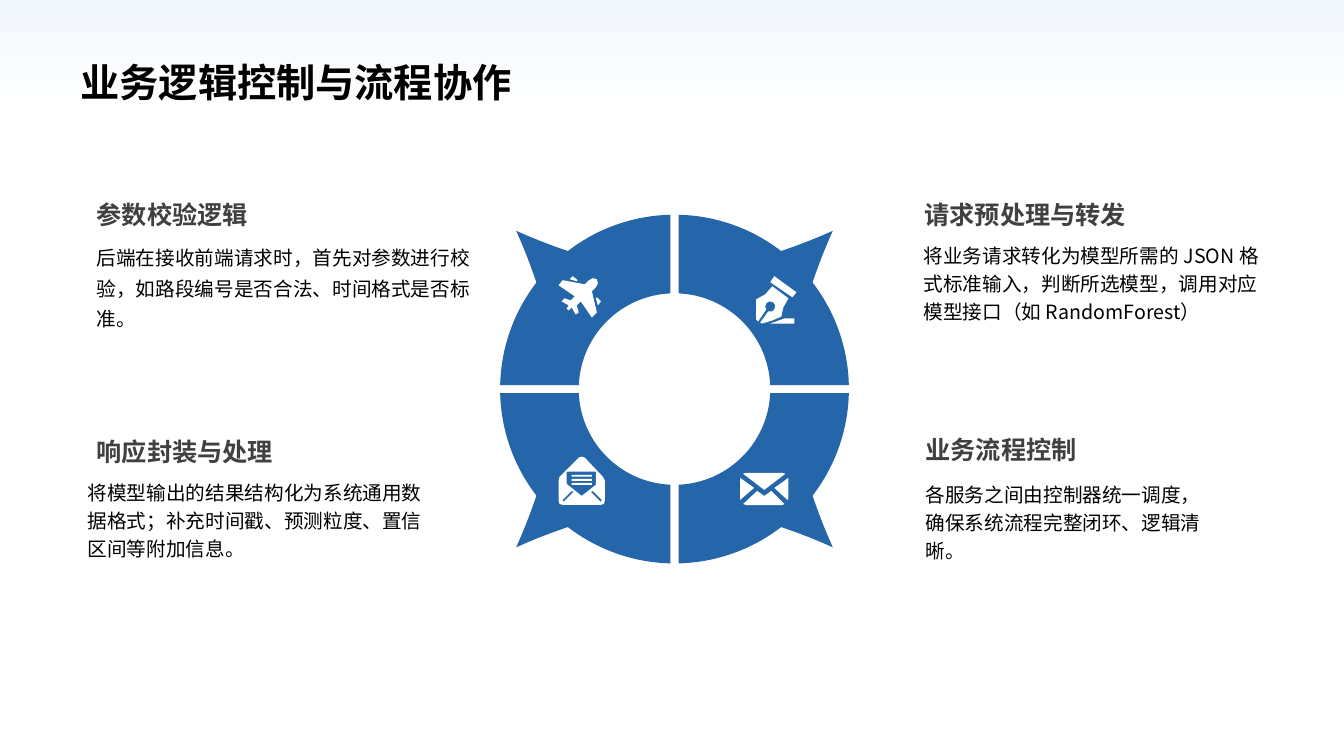
from itertools import product
from math import cos, sin, asin, pi

from lxml.etree import SubElement
from pptx import Presentation
from pptx.dml.color import RGBColor
from pptx.enum.text import MSO_ANCHOR, PP_ALIGN
from pptx.oxml.ns import qn
from pptx.util import Inches, Pt

COLORS = {"white": "FFFFFF", "sky": "F2F7FC", "ring": "2565A9",
          "heading": "404040", "text": "000000"}
FONT = "Noto Sans CJK JP"

CENTER_X, CENTER_Y = 6.69, 3.86
OUTER_RADIUS, INNER_RADIUS, HALF_GAP = 1.73, 0.95, 0.04

# Heading position, heading, body position, body width, line spacing, body
TOPICS = [
    ((0.93, 1.95), "参数校验逻辑", (0.93, 2.34), 3.9, 1.3,
     "后端在接收前端请求时，首先对参数进行校验，如路段编号是否合法、时间格式是否标准。"),
    ((0.93, 4.3), "响应封装与处理", (0.84, 4.69), 3.52, 1.2,
     "将模型输出的结果结构化为系统通用数据格式；补充时间戳、预测粒度、置信区间等附加信息。"),
    ((9.14, 1.95), "请求预处理与转发", (9.13, 2.34), 3.52, 1.2,
     "将业务请求转化为模型所需的 JSON 格式标准输入，判断所选模型，调用对应模型接口（如 RandomForest）"),
    ((9.15, 4.28), "业务流程控制", (9.15, 4.71), 2.94, 1.2,
     "各服务之间由控制器统一调度，确保系统流程完整闭环、逻辑清晰。"),
]

PLANE = [
    [(5.92, 2.77), (5.93, 2.81), (5.91, 2.85), (5.87, 2.89), (5.92, 3.1), (5.87, 3.15),
     (5.76, 2.99), (5.72, 3.03), (5.74, 3.1), (5.71, 3.12), (5.67, 3.05), (5.64, 3.08),
     (5.62, 3.06), (5.64, 3.03), (5.57, 2.99), (5.6, 2.96), (5.66, 2.98), (5.7, 2.94),
     (5.54, 2.83), (5.58, 2.78), (5.8, 2.82), (5.84, 2.78), (5.88, 2.76)],
    [(5.96, 2.99), (5.92, 2.95), (5.91, 2.96), (5.93, 3.03)],
    [(5.68, 2.74), (5.65, 2.77), (5.72, 2.79), (5.73, 2.78)],
]
PEN = [
    [(7.52, 3.19), (7.5, 3.17), (7.5, 2.97), (7.59, 2.92), (7.66, 2.84), (7.82, 2.96),
     (7.77, 3.05), (7.75, 3.14), (7.66, 3.18), (7.56, 3.21), (7.54, 3.2), (7.62, 3.09),
     (7.66, 3.09), (7.68, 3.07), (7.69, 3.03), (7.67, 3), (7.63, 2.99), (7.6, 3.01),
     (7.59, 3.04), (7.6, 3.07)],
    [(7.64, 3.21), (7.88, 3.21), (7.88, 3.16), (7.78, 3.16)],
    [(7.86, 2.95), (7.9, 2.9), (7.68, 2.74), (7.64, 2.8)],
]
OPEN_LETTER = [
    [(5.98, 4.73), (6, 4.77), (6, 4.96), (5.99, 5), (5.95, 5.01), (5.59, 5.01),
     (5.55, 5), (5.54, 4.96), (5.54, 4.77), (5.55, 4.73), (5.74, 4.54), (5.77, 4.53),
     (5.8, 4.54)],
    [(5.62, 4.68), (5.62, 4.8), (5.77, 4.92), (5.91, 4.81), (5.91, 4.68)],
    *[[(5.67, y), (5.67, y + 0.02), (5.87, y + 0.02), (5.87, y)]
      for y in (4.71, 4.75, 4.79)],
    [(5.59, 4.98), (5.69, 4.88), (5.67, 4.87), (5.58, 4.96)],
    [(5.97, 4.96), (5.88, 4.87), (5.86, 4.88), (5.96, 4.98)],
]
ENVELOPE = [
    [(7.4, 4.69), (7.76, 4.69), (7.79, 4.7), (7.58, 4.86), (7.37, 4.7)],
    [(7.82, 4.74), (7.68, 4.84), (7.81, 4.96), (7.82, 4.94)],
    [(7.78, 5), (7.76, 5.01), (7.4, 5.01), (7.37, 5), (7.51, 4.87), (7.58, 4.92),
     (7.65, 4.87)],
    [(7.34, 4.96), (7.48, 4.84), (7.34, 4.74)],
]


def arc(radius, steps=40):
    """Points of a quarter circle, trimmed by the gap at both ends."""
    start = asin(HALF_GAP / radius)
    angles = [start + (pi / 2 - 2 * start) * step / steps for step in range(steps + 1)]
    return [(radius * cos(angle), radius * sin(angle)) for angle in angles]


def bezier(points, steps=12):
    """Points along a cubic curve given by its four control points."""
    curve = []
    for step in range(steps + 1):
        t = step / steps
        weights = ((1 - t) ** 3, 3 * t * (1 - t) ** 2, 3 * t * t * (1 - t), t ** 3)
        curve.append(tuple(sum(weight * point[axis] for weight, point in zip(weights, points))
                           for axis in (0, 1)))
    return curve


class RingSlide:
    def __init__(self, presentation):
        self.slide = presentation.slides.add_slide(presentation.slide_layouts[5])

    def background(self):
        fill = self.slide.background.fill
        fill.gradient()
        fill.gradient_angle = 90
        for stop, position, color in zip(fill.gradient_stops, (0.85, 1), ("white", "sky")):
            stop.position = position
            stop.color.rgb = RGBColor.from_string(COLORS[color])

    def fill_frame(self, frame, text, size, color, bold=False, spacing=1.0):
        frame.word_wrap = True
        frame.text = text
        paragraph = frame.paragraphs[0]
        paragraph.alignment = PP_ALIGN.LEFT
        paragraph.line_spacing = spacing
        font = paragraph.font
        font.size, font.bold, font.name = Pt(size), bold, FONT
        font.color.rgb = RGBColor.from_string(COLORS[color])
        properties = paragraph._p.pPr.find(qn("a:defRPr"))
        SubElement(properties, qn("a:ea")).set("typeface", FONT)

    def title(self, text):
        shape = self.slide.shapes.title
        shape.left, shape.top = Inches(0.7), Inches(0.48)
        shape.width, shape.height = Inches(4.65), Inches(0.66)
        shape.text_frame.vertical_anchor = MSO_ANCHOR.MIDDLE
        self.fill_frame(shape.text_frame, text, 28, "text", bold=True)

    def text(self, position, width, height, text, size, color, **style):
        left, top = position
        box = self.slide.shapes.add_textbox(Inches(left), Inches(top),
                                            Inches(width), Inches(height))
        frame = box.text_frame
        frame.margin_left = frame.margin_right = Inches(0.03)
        frame.margin_top = frame.margin_bottom = Inches(0.03)
        self.fill_frame(frame, text, size, color, **style)

    def outline(self, contours, color):
        """Draw closed contours as one shape; a contour inside another is a hole."""
        builder = None
        for contour in contours:
            points = [(Inches(x), Inches(y)) for x, y in contour]
            if builder is None:
                builder = self.slide.shapes.build_freeform(*points[0])
            else:
                builder.move_to(*points[0])
            builder.add_line_segments(points[1:], close=True)
        shape = builder.convert_to_shape()
        shape.shadow.inherit = False
        shape.fill.solid()
        shape.fill.fore_color.rgb = RGBColor.from_string(COLORS[color])
        shape.line.fill.background()

    def ring(self):
        band = arc(OUTER_RADIUS) + arc(INNER_RADIUS)[::-1]
        edge = bezier([(1.57, 1.57), (1.13, 1.37), (0.55, 1.19), (0.1, 1.15)])
        horn = edge + [(0.82, 0.82)] + [(y, x) for x, y in reversed(edge)]
        for side_x, side_y in product((-1, 1), repeat=2):
            for part in (band, horn):
                self.outline([[(CENTER_X + side_x * x, CENTER_Y + side_y * y)
                               for x, y in part]], "ring")


def main():
    presentation = Presentation()
    presentation.slide_width, presentation.slide_height = Inches(13.33), Inches(7.5)
    page = RingSlide(presentation)
    page.background()
    page.title("业务逻辑控制与流程协作")
    page.ring()
    for icon in (PLANE, PEN, OPEN_LETTER, ENVELOPE):
        page.outline(icon, "white")
    for heading_at, heading, body_at, body_width, spacing, body in TOPICS:
        page.text(heading_at, 3.94, 0.5, heading, 18, "heading", bold=True)
        page.text(body_at, body_width, 1, body, 14, "text", spacing=spacing)
    presentation.save("out.pptx")


if __name__ == "__main__":
    main()
